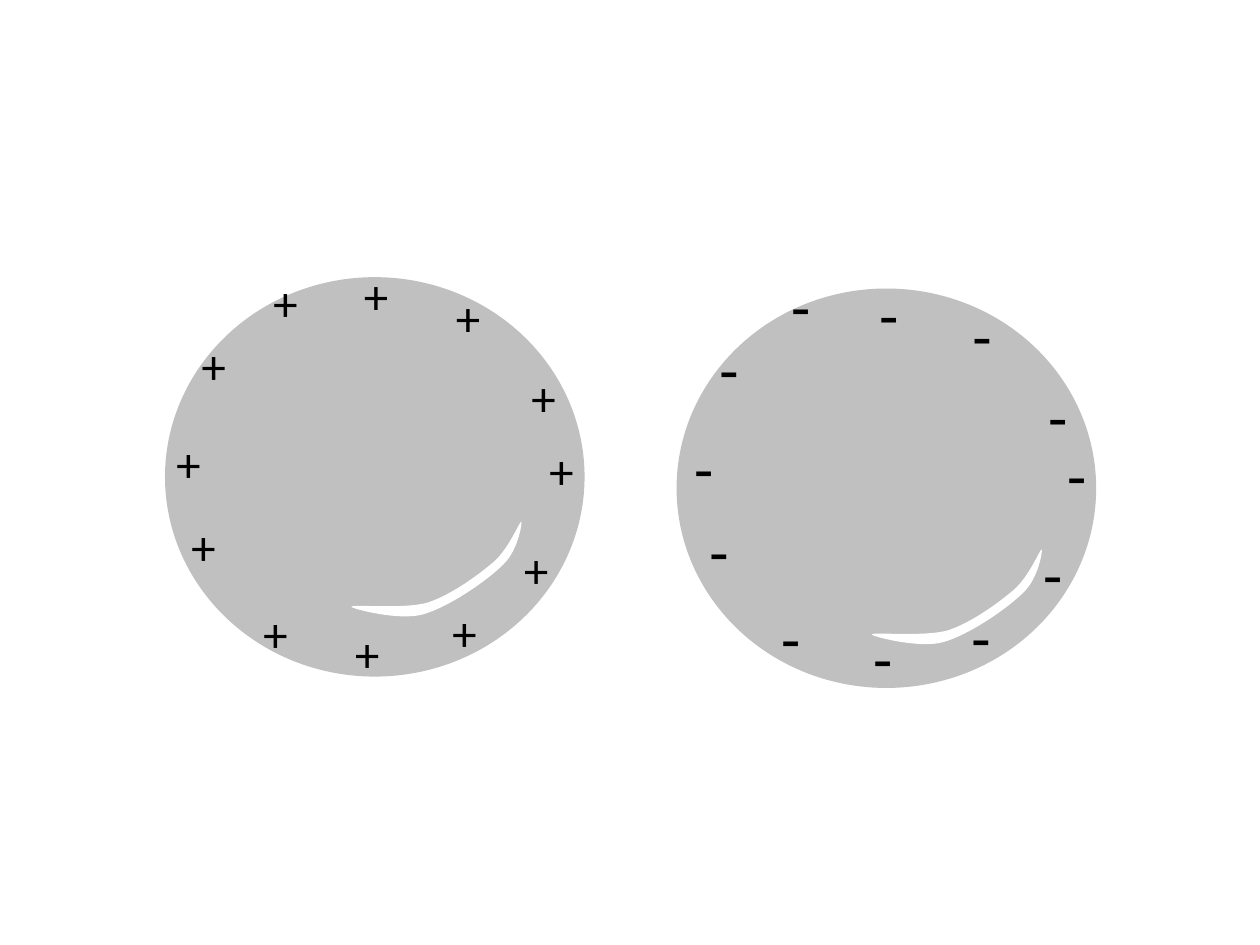
from pptx import Presentation
from pptx.dml.color import RGBColor
from pptx.enum.shapes import MSO_SHAPE as Preset
from pptx.enum.text import MSO_AUTO_SIZE as AutoSize
from pptx.oxml.xmlchemy import OxmlElement
from pptx.util import Inches, Pt

COLORS = {"sphere": "C0C0C0", "shine": "FFFFFF", "charge": "000000"}
FONT = "Calibri"
SPHERE_SIZE = (3.33, 3.17)
SHINE_ANGLE = 344.5

# Start point, then cubic curves as two control points and an end point
SHINE_START = (0.01, 0.30)
SHINE_CURVES = [
    (0, 0.31), (0.34, 0.51), (0.54, 0.51),
    (0.75, 0.51), (1.10, 0.39), (1.26, 0.30),
    (1.41, 0.22), (1.50, 0.01), (1.49, 0.01),
    (1.48, 0), (1.34, 0.19), (1.19, 0.26),
    (1.04, 0.33), (0.80, 0.42), (0.60, 0.43),
    (0.40, 0.43), (0.02, 0.28), SHINE_START,
]

# Charge positions are the left and top of each label, by rotation
SPHERES = [
    {
        "at": (5.37, 2.29), "shine": (6.87, 4.54),
        "sign": "-", "size": 36, "label": (0.36, 0.71),
        "charges": {
            180: [(6.82, 4.97), (6.09, 4.81), (5.52, 4.12), (7.6, 4.8), (8.17, 4.3),
                  (8.36, 3.52), (6.17, 2.18), (5.6, 2.68), (5.4, 3.46)],
            0: [(6.88, 2.14), (7.62, 2.3), (8.22, 2.95)],
        },
    },
    {
        "at": (1.31, 2.2), "shine": (2.74, 4.32),
        "sign": "+", "size": 28, "label": (0.4, 0.57),
        "charges": {
            180: [(2.71, 4.96), (1.98, 4.8), (1.41, 4.11), (3.48, 4.79), (4.05, 4.29),
                  (4.25, 3.51), (2.06, 2.17), (1.49, 2.67), (1.29, 3.45)],
            0: [(2.79, 2.06), (3.52, 2.23), (4.12, 2.87)],
        },
    },
]


def inches(values):
    return [Inches(value) for value in values]


def paint(shape, color):
    shape.shadow.inherit = False
    shape.fill.solid()
    shape.fill.fore_color.rgb = RGBColor.from_string(COLORS[color])
    shape.line.fill.background()


def add_shine(page, at):
    builder = page.shapes.build_freeform(*inches(SHINE_START))
    builder.add_line_segments([inches(point) for point in SHINE_CURVES], close=True)
    shine = builder.convert_to_shape(*inches(at))
    # Every three straight segments become one cubic curve
    segments = shine._element.xpath(".//a:lnTo")
    for first in range(0, len(segments), 3):
        curve = OxmlElement("a:cubicBezTo")
        segments[first].addprevious(curve)
        for segment in segments[first:first + 3]:
            curve.append(segment[0])
            segment.getparent().remove(segment)
    shine.rotation = SHINE_ANGLE
    paint(shine, "shine")


def add_text(shapes, text, *, at, extent, size, color, rotation=0):
    box = shapes.add_textbox(*inches(at + extent))
    box.rotation = rotation
    frame = box.text_frame
    frame.word_wrap = False
    frame.auto_size = AutoSize.SHAPE_TO_FIT_TEXT
    span = frame.paragraphs[0].add_run()
    span.text = text
    span.font.name = FONT
    span.font.size = Pt(size)
    span.font.color.rgb = RGBColor.from_string(COLORS[color])


def main():
    deck = Presentation()
    deck.slide_width, deck.slide_height = Inches(10), Inches(7.5)
    page = deck.slides.add_slide(deck.slide_layouts[6])

    for sphere in SPHERES:
        ball = page.shapes.add_shape(Preset.OVAL, *inches(sphere["at"] + SPHERE_SIZE))
        paint(ball, "sphere")
        add_shine(page, sphere["shine"])
        group = page.shapes.add_group_shape()
        for rotation, places in sphere["charges"].items():
            for at in places:
                add_text(group.shapes, sphere["sign"], at=at, extent=sphere["label"],
                         size=sphere["size"], color="charge", rotation=rotation)

    deck.save("out.pptx")


if __name__ == "__main__":
    main()
